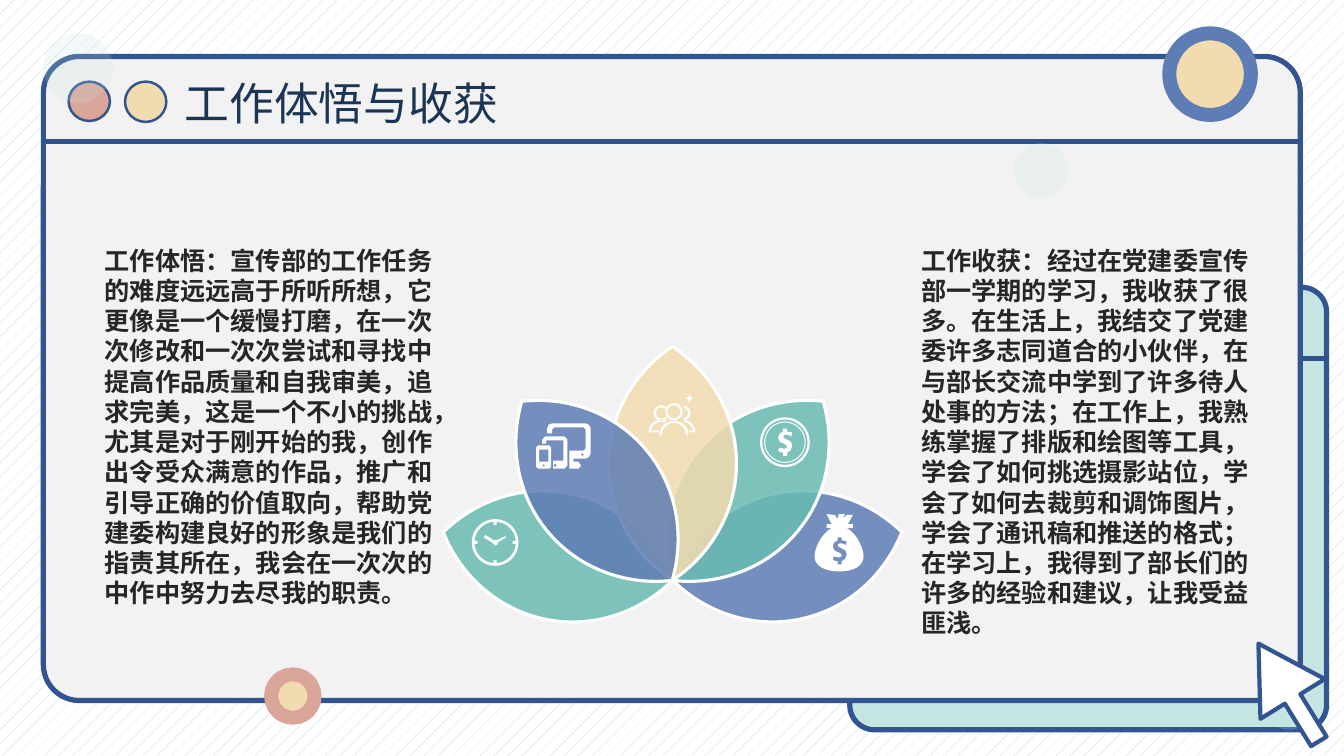
import math
from lxml import etree
from pptx import Presentation
from pptx import util as u
from pptx.dml import color
from pptx.enum import dml, shapes, text
from pptx.oxml import ns

Pt, qn = u.Pt, ns.qn
FONT = "Noto Sans CJK SC"
NAVY, RULE, MINT, SAND, ROSE = "325491", "2F528F", "C5E5E2", "F2DBAF", "DAA699"
BLUE, TEAL, WHITE = "5E7DB4", "69BBB3", "FFFFFF"

# ---- content ----
TITLE = "工作体悟与收获"
COLUMNS = [
    (67.7, "工作体悟：宣传部的工作任务的难度远远高于所听所想，它更像是一个缓慢打磨，在一次次修改和一次次尝试和寻找中提高作品质量和自我审美，追求完美，这是一个不小的挑战，尤其是对于刚开始的我，创作出令受众满意的作品，推广和引导正确的价值取向，帮助党建委构建良好的形象是我们的指责其所在，我会在一次次的中作中努力去尽我的职责。"),
    (650.9, "工作收获：经过在党建委宣传部一学期的学习，我收获了很多。在生活上，我结交了党建委许多志同道合的小伙伴，在与部长交流中学到了许多待人处事的方法；在工作上，我熟练掌握了排版和绘图等工具，学会了如何挑选摄影站位，学会了如何去裁剪和调饰图片，学会了通讯稿和推送的格式；在学习上，我得到了部长们的许多的经验和建议，让我受益匪浅。"),
]
# left, top, width, height, fill, opacity %, line, line width
CIRCLES = [
    (49, 58.3, 29.5, 28.1, ROSE, 100, NAVY, 1.75),
    (89.3, 58.3, 29.5, 28.8, SAND, 100, NAVY, 1.75),
    (31, 23.8, 49.7, 49.7, MINT, 20, None, 0),
    (724.3, 102.2, 38.9, 38.9, MINT, 20, None, 0),
    (901.4, 482.4, 38.9, 38.9, MINT, 20, None, 0),
    (835.2, 23.8, 58.3, 58.3, SAND, 100, BLUE, 10),
    (193.7, 481.7, 31, 31, SAND, 100, ROSE, 10),
]
# petals turn about the foot of the lotus: angle and colour, back to front
FOOT_X, FOOT_Y, PETAL_W, PETAL_H = 480.4, 414.9, 91.4, 167.8
PETALS = [(78, BLUE), (40, TEAL), (-78, TEAL), (0, SAND), (-40, BLUE)]
PETAL = ("45.7 0 47.2 1.4 C 73.4 19.4 91.4 49.7 91.4 83.9 C 91.4 118.1 73.4 148.4 47.2 166.4 "
         "L 45.7 167.8 44.2 166.4 C 18 148.4 0 118.1 0 83.9 C 0 49.7 18 19.4 44.2 1.4")
HANDS = "10 11.5 15.8 15.1 18 15.1 23.8 12.2 24.5 13 18.7 16.6 18.2 18.4 16.6 18.9 14.6 16.7 9.4 13.7 8.6 12.2"
BAG = ("17.3 0 21.6 0 20.2 2.9 23 0.7 27.4 0.7 23.8 7.2 27.4 7.2 27.4 10.1 23 10.1 "
       "C 30.2 13.7 35 24.5 35 30.2 C 35 37.4 27.4 41 18 41 C 7.9 41 0 37.4 0 30.2 "
       "C 0 24.5 5 13.7 12.2 10.1 L 8.6 10.1 8.6 7.2 12.2 7.2 8.6 0 14.4 0.7 16.6 3.6")
DOLLAR = ("16.6 16.6 16.6 18.7 C 14.4 19.4 13 20.9 13 23 C 13 25.2 14.4 26.6 17.3 27.4 "
          "C 18.7 28.1 19.4 28.8 19.4 29.5 C 19.4 30.2 18.7 31 17.3 31 C 15.8 31 14.4 30.2 13.7 30.2 "
          "L 13 32.4 C 13.7 33.1 15.1 33.8 16.6 33.8 L 16.6 36 19.4 36 19.4 33.8 "
          "C 21.6 33.1 23 31 23 28.8 C 23 26.6 22.3 25.9 19.4 24.5 C 17.3 23.8 16.6 23 16.6 22.3 "
          "C 16.6 21.6 17.3 20.9 18.7 20.9 C 20.2 20.9 21.6 21.6 22.3 22.3 L 23 19.4 19.4 18.7 19.4 16.6")
PHONE = "1.4 15.8 9.4 15.8 10.8 17.3 10.8 31 9.4 32.4 1.4 32.4 0 31 0 17.3"
TABLET = ("4.3 14.4 4.3 11.5 6.5 9.4 20.2 9.4 22.3 11.5 22.3 30.2 20.2 32.4 12.2 32.4 "
          "12.2 26.6 19.4 26.6 19.4 12.2 7.2 12.2 7.2 14.4")
MONITOR = ("7.9 7.2 7.9 3.6 C 7.9 1.4 9.4 0 11.5 0 L 35.3 0 C 36.7 0 38.9 1.4 38.9 3.6 L 38.9 21.6 "
           "C 38.9 23.8 36.7 25.2 35.3 25.2 L 26.6 25.2 26.6 27.4 30.2 27.4 31.7 29.5 31.7 31 30.2 32.4 "
           "23.8 32.4 23.8 19.4 33.8 19.4 35.3 18 35.3 4.3 33.8 2.9 13 2.9 11.5 4.3 11.5 7.2")
SPARKLE = "29.5 0 30.5 2.2 32.4 2.9 30.5 3.9 29.5 6.2 28.5 3.9 26.4 2.9 28.5 2.2"

# ---- outlines: points (x, y, belongs to a curve) ----
def outline(path, dy=0):
    pts, values, curved = [], [], False
    for word in path.split():
        if word in "CL":
            curved = word == "C"
            continue
        values.append(float(word))
        if len(values) == 2:
            pts.append((values[0], values[1] + dy, curved))
            values = []
    return pts

def arc(cx, cy, r, start=0, end=360):
    count = math.ceil(abs(end - start) / 90)
    step = math.radians(end - start) / count
    k = 4 / 3 * math.tan(step / 4)
    pts = []
    for i in range(count + 1):
        a = math.radians(start) + i * step
        x, y = cx + r * math.cos(a), cy + r * math.sin(a)
        dx, dy = -k * r * math.sin(a), k * r * math.cos(a)
        pts += [(x - dx, y - dy, True), (x, y, True), (x + dx, y + dy, True)]
    return [(*pts[1][:2], False)] + pts[2:-1]

def band(cx, cy, r, start, end):
    return arc(cx, cy, r, start, end) + arc(cx, cy, r - 1.5, end, start)

def box(x, y, w, h):
    return [(x, y, False), (x + w, y, False), (x + w, y + h, False), (x, y + h, False)]

ICONS = [  # left, top, outlines: coin, devices, clock, money bag, people
    (542.9, 298.1, [arc(17.8, 17.8, r) for r in (17.8, 16.2, 14.8, 14.1)] + [outline(DOLLAR, -8.5)]),
    (383, 302.4, [outline(PHONE), box(2.2, 18.7, 6.5, 8.6), arc(5.4, 30.1, 1), outline(TABLET),
                  arc(13.5, 30, 1.2), outline(MONITOR), arc(33.1, 22.3, 1.1)]),
    (337, 370.8, [arc(16.7, 16.7, 16.7), arc(16.7, 16.7, 14.8), outline(HANDS)] + [
        box(15.6 + 13.6 * dx, 15.6 + 13.6 * dy, 2.2, 2.2) for dx, dy in ((0, -1), (1, 0), (0, 1), (-1, 0))]),
    (581.8, 367.2, [outline(BAG), outline(DOLLAR)]),
    (463, 281.5, [arc(18.4, 12.6, 6.1), arc(18.4, 12.6, 4.7), band(9.4, 13.5, 5.6, 45, 310),
                  band(24.7, 13.6, 5.4, -80, 80), band(18.4, 29.5, 10.4, 180, 360),
                  band(9.4, 27.4, 9.2, 180, 290), box(1.7, 26, 6, 1.4),
                  band(24.7, 27.4, 9.1, -80, 0), box(29.2, 26, 3, 1.4), outline(SPARKLE)]),
]

# ---- drawing ----
def rgb(value):
    return color.RGBColor.from_string(value)

def paint(sp, fill, line=None, width=0, opacity=100):
    sp.shadow.inherit = False
    sp.fill.solid()
    sp.fill.fore_color.rgb = rgb(fill)
    if opacity < 100:
        clr = sp.element.spPr.find(".//" + qn("a:srgbClr"))
        etree.SubElement(clr, qn("a:alpha"), val=str(opacity * 1000))
    if line:
        sp.line.color.rgb, sp.line.width = rgb(line), Pt(width)
    else:
        sp.line.fill.background()
    return sp

def preset(parent, kind, x, y, w, h, **style):
    return paint(parent.add_shape(kind, Pt(x), Pt(y), Pt(w), Pt(h)), **style)

def panel(parent, x, y, w, h, rule_y, fill):
    sp = preset(parent, shapes.MSO_SHAPE.ROUNDED_RECTANGLE, x, y, w, h, fill=fill, line=NAVY, width=3.75)
    sp.adjustments[0] = 0.056
    rule = parent.add_connector(shapes.MSO_CONNECTOR.STRAIGHT, Pt(x), Pt(rule_y), Pt(x + w), Pt(rule_y))
    rule.line.color.rgb, rule.line.width = rgb(RULE), Pt(3.75)
    etree.SubElement(rule.element.spPr, qn("a:effectLst"))

def freeform(parent, x, y, contours, **style):
    builder, curved = parent.build_freeform(scale=1.0), []
    for i, contour in enumerate(contours):
        pts = [(Pt(x + px), Pt(y + py)) for px, py, _ in contour]
        if i:
            builder.move_to(*pts[0])
        else:
            builder = parent.build_freeform(*pts[0], scale=1.0)
        builder.add_line_segments(pts[1:], close=True)
        curved += [flag for _, _, flag in contour[1:]]
    sp = builder.convert_to_shape()
    # every three curve points in a row become one cubic segment
    run = []
    for node, flag in zip(sp.element.spPr.findall(".//" + qn("a:lnTo")), curved):
        run = run + [node] if flag else []
        if len(run) == 3:
            cubic = etree.Element(qn("a:cubicBezTo"))
            run[0].addprevious(cubic)
            for point in run:
                cubic.append(point[0])
                point.getparent().remove(point)
            run = []
    return paint(sp, **style)

def write(sp, words, size, fill, bold=False):
    tf = sp.text_frame
    tf.word_wrap, tf.vertical_anchor = True, text.MSO_ANCHOR.TOP
    p = tf.paragraphs[0]
    p.alignment, p.line_spacing = text.PP_ALIGN.LEFT, Pt(size * 1.2)
    r = p.add_run()
    r.text = words
    r.font.size, r.font.bold, r.font.name = Pt(size), bold, FONT
    r.font.color.rgb = rgb(fill)
    etree.SubElement(r.font._element, qn("a:ea"), typeface=FONT)

prs = Presentation()
prs.slide_width, prs.slide_height = Pt(960), Pt(540)
s = prs.slides.add_slide(prs.slide_layouts[5])
bg = s.background.fill
bg.patterned()
bg.pattern = dml.MSO_PATTERN.PERCENT_5
bg.fore_color.rgb, bg.back_color.rgb = rgb("BDCAE1"), rgb(WHITE)
# window panels, circles and mouse pointer
panel(s.shapes.add_group_shape().shapes, 607, 205.2, 340.6, 316.1, 256.3, MINT)
panel(s.shapes, 31, 40.3, 897.8, 460.1, 100.8, "F2F2F2")
for x, y, w, h, fill, opacity, line, width in CIRCLES:
    preset(s.shapes, shapes.MSO_SHAPE.OVAL, x, y, w, h, fill=fill, opacity=opacity, line=line, width=width)
pointer = preset(s.shapes, shapes.MSO_SHAPE.UP_ARROW, 893.5, 453.6, 54, 82.1, fill=WHITE, line=NAVY, width=3)
pointer.adjustments[0], pointer.adjustments[1], pointer.rotation = 0.24, 0.86, 328.3
# title, raised above the panels
title = s.shapes.title
title.left, title.top, title.width, title.height = Pt(124.6), Pt(50.4), Pt(287.3), Pt(46)
write(title, TITLE, 32, "1C3554")
s.shapes.element.append(title.element)
# lotus with icons
lotus = s.shapes.add_group_shape().shapes
for angle, fill in PETALS:
    a = math.radians(angle)
    x = FOOT_X + PETAL_H / 2 * math.sin(a) - PETAL_W / 2
    y = FOOT_Y - PETAL_H / 2 * math.cos(a) - PETAL_H / 2
    petal = freeform(lotus, x, y, [outline(PETAL)], fill=fill, opacity=85, line=WHITE, width=2.25)
    petal.rotation = angle
for x, y, contours in ICONS:
    freeform(lotus, x, y, contours, fill=WHITE)
# text columns
for x, words in COLUMNS:
    write(s.shapes.add_textbox(Pt(x), Pt(171.4), Pt(249.1), Pt(288.4)), words, 18, "262626", bold=True)
prs.save("out.pptx")
